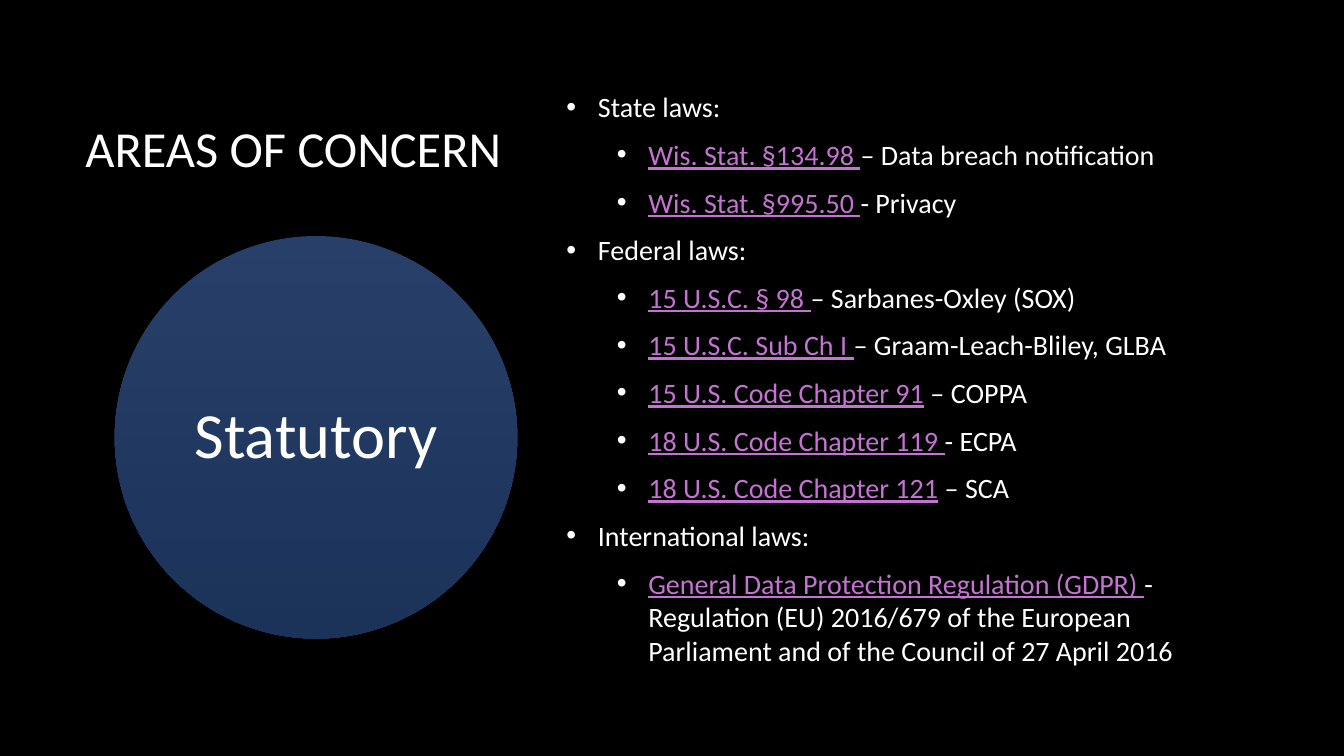
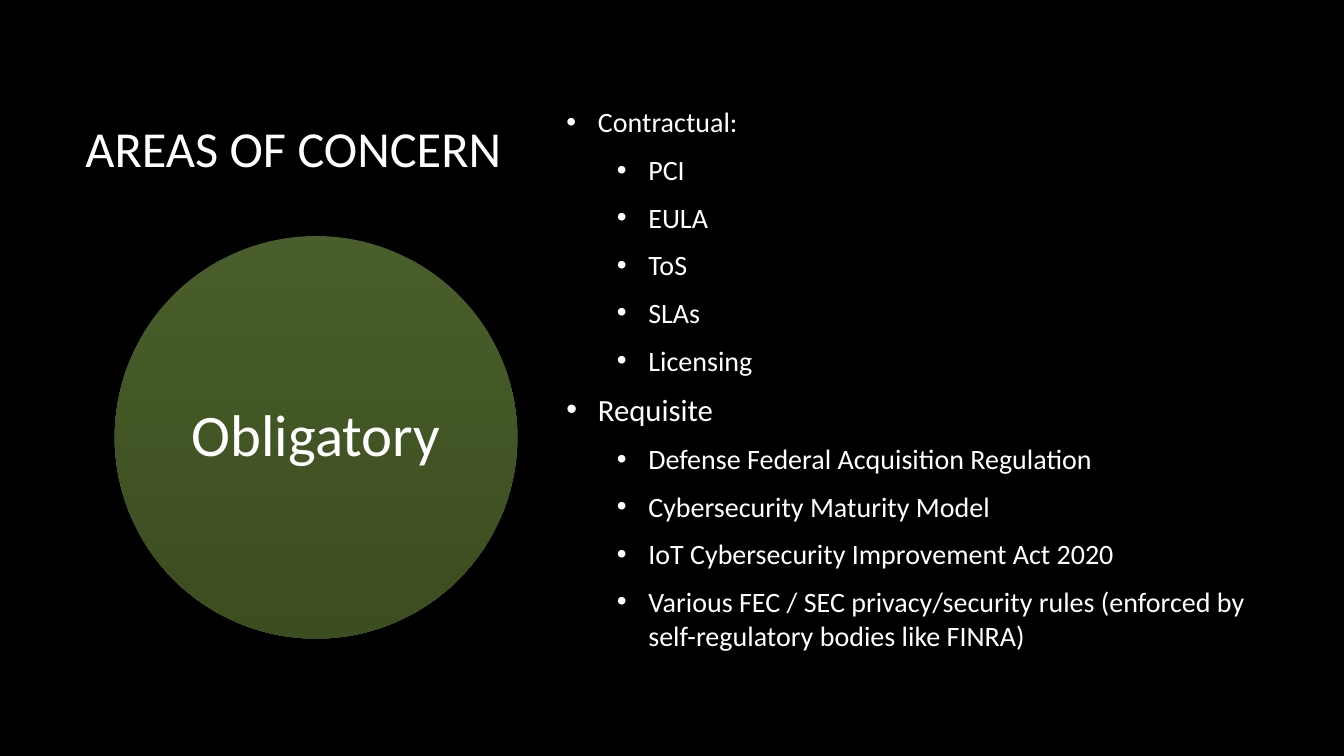
from dataclasses import dataclass
from typing import NamedTuple

from lxml import etree
from pptx import Presentation
from pptx.dml.color import RGBColor
from pptx.enum.shapes import MSO_SHAPE
from pptx.enum.text import MSO_ANCHOR, PP_ALIGN
from pptx.oxml.ns import qn
from pptx.util import Pt

ELLIPSE = MSO_SHAPE.OVAL
MIDDLE = MSO_ANCHOR.MIDDLE
LEFT, CENTER = PP_ALIGN.LEFT, PP_ALIGN.CENTER

BLACK = RGBColor(0x00, 0x00, 0x00)
WHITE = RGBColor(0xFF, 0xFF, 0xFF)
CITATION = RGBColor(0xC5, 0x73, 0xD2)
BLUE_TOP = RGBColor(0x51, 0x80, 0xD2)
BLUE_BOTTOM = RGBColor(0x36, 0x65, 0xB3)
GREEN_TOP = RGBColor(0x93, 0xBC, 0x55)
GREEN_BOTTOM = RGBColor(0x78, 0x9B, 0x3F)

FONT = "Calibri"
HEADING = "AREAS OF CONCERN"
HEADING_SIZE = 36
POINT_SIZE = 20
POINT_GAP = 10
HANGING = 22.5
LEVEL_STEP = 36
CIRCLE_OPACITY = 50


class Box(NamedTuple):
    left: float
    top: float
    width: float
    height: float

    def lengths(self) -> list[Pt]:
        return [Pt(length) for length in self]


SLIDE_SIZE = (960, 540)
HEADING_BOX = Box(54, 48, 798, 114.5)
CIRCLE_BOX = Box(82, 168.6, 287.5, 287.5)
POINTS_BOX = Box(397.5, 48, 508.5, 444.5)


@dataclass(frozen=True)
class Point:
    text: str
    level: int = 1
    citation: str = ""
    size: float = POINT_SIZE


@dataclass(frozen=True)
class Area:
    name: str
    name_size: float
    inset: float
    top_color: RGBColor
    bottom_color: RGBColor
    points: tuple[Point, ...]


AREAS = (
    Area("Statutory", 46, 13.5, BLUE_TOP, BLUE_BOTTOM, (
        Point("State laws:", level=0),
        Point("– Data breach notification", citation="Wis. Stat. §134.98 "),
        Point("- Privacy", citation="Wis. Stat. §995.50 "),
        Point("Federal laws:", level=0),
        Point("– Sarbanes-Oxley (SOX)", citation="15 U.S.C. § 98 "),
        Point("– Graam-Leach-Bliley, GLBA", citation="15 U.S.C. Sub Ch I "),
        Point(" – COPPA", citation="15 U.S. Code Chapter 91"),
        Point("- ECPA", citation="18 U.S. Code Chapter 119 "),
        Point(" – SCA", citation="18 U.S. Code Chapter 121"),
        Point("International laws:", level=0),
        Point("- Regulation (EU) 2016/679 of the European Parliament "
              "and of the Council of 27 April 2016",
              citation="General Data Protection Regulation (GDPR) "),
    )),
    Area("Obligatory", 42, 12, GREEN_TOP, GREEN_BOTTOM, (
        Point("Contractual:", level=0),
        Point("PCI"),
        Point("EULA"),
        Point("ToS"),
        Point("SLAs"),
        Point("Licensing"),
        Point("Requisite", level=0, size=22),
        Point("Defense Federal Acquisition Regulation"),
        Point("Cybersecurity Maturity Model"),
        Point("IoT Cybersecurity Improvement Act 2020"),
        Point("Various FEC / SEC privacy/security rules (enforced by "
              "self-regulatory bodies like FINRA)"),
    )),
)


def apply_format(target, values: dict) -> None:
    for attribute, value in values.items():
        setattr(target, attribute, value)


def add_run(paragraph, text: str, size: float, color: RGBColor = WHITE,
            underline: bool = False) -> None:
    run = paragraph.add_run()
    run.text = text
    apply_format(run.font, {"name": FONT, "size": Pt(size), "underline": underline})
    run.font.color.rgb = color


def add_text_frame(slide, box: Box):
    frame = slide.shapes.add_textbox(*box.lengths()).text_frame
    apply_format(frame, {"word_wrap": True, "vertical_anchor": MIDDLE})
    return frame


def add_bullet(paragraph, level: int) -> None:
    properties = paragraph._p.get_or_add_pPr()
    properties.set("marL", str(Pt(HANGING + level * LEVEL_STEP)))
    properties.set("indent", str(-Pt(HANGING)))
    color = etree.SubElement(properties, qn("a:buClr"))
    etree.SubElement(color, qn("a:srgbClr"), val=str(WHITE))
    etree.SubElement(properties, qn("a:buFont"), typeface="Arial")
    etree.SubElement(properties, qn("a:buChar"), char="•")


def add_heading(slide) -> None:
    paragraph = add_text_frame(slide, HEADING_BOX).paragraphs[0]
    paragraph.alignment = LEFT
    add_run(paragraph, HEADING, HEADING_SIZE)


def add_circle(slide, area: Area) -> None:
    circle = slide.shapes.add_shape(ELLIPSE, *CIRCLE_BOX.lengths())
    circle.shadow.inherit = False
    circle.line.fill.background()
    circle.fill.gradient()
    circle.fill.gradient_angle = 270
    for stop, color in zip(circle.fill.gradient_stops,
                           (area.top_color, area.bottom_color)):
        stop.color.rgb = color
    for color in circle._element.spPr.iter(qn("a:srgbClr")):
        etree.SubElement(color, qn("a:alpha"), val=str(CIRCLE_OPACITY * 1000))

    frame = circle.text_frame
    sides = ("left", "top", "right", "bottom")
    apply_format(frame, {f"margin_{side}": Pt(area.inset) for side in sides})
    apply_format(frame, {"word_wrap": True, "vertical_anchor": MIDDLE})
    paragraph = frame.paragraphs[0]
    apply_format(paragraph, {"alignment": CENTER, "line_spacing": 0.9})
    add_run(paragraph, area.name, area.name_size)


def add_points(slide, points: tuple[Point, ...]) -> None:
    frame = add_text_frame(slide, POINTS_BOX)
    for index, point in enumerate(points):
        paragraph = frame.add_paragraph() if index else frame.paragraphs[0]
        add_bullet(paragraph, point.level)
        apply_format(paragraph, {"level": point.level, "alignment": LEFT,
                                 "space_after": Pt(POINT_GAP)})
        if point.citation:
            add_run(paragraph, point.citation, point.size, CITATION, underline=True)
        add_run(paragraph, point.text, point.size)


def add_area_slide(presentation, area: Area) -> None:
    slide = presentation.slides.add_slide(presentation.slide_layouts[6])
    background = slide.background.fill
    background.solid()
    background.fore_color.rgb = BLACK
    add_heading(slide)
    add_circle(slide, area)
    add_points(slide, area.points)


def main() -> None:
    presentation = Presentation()
    presentation.slide_width, presentation.slide_height = map(Pt, SLIDE_SIZE)
    for area in AREAS:
        add_area_slide(presentation, area)
    presentation.save("out.pptx")


if __name__ == "__main__":
    main()
